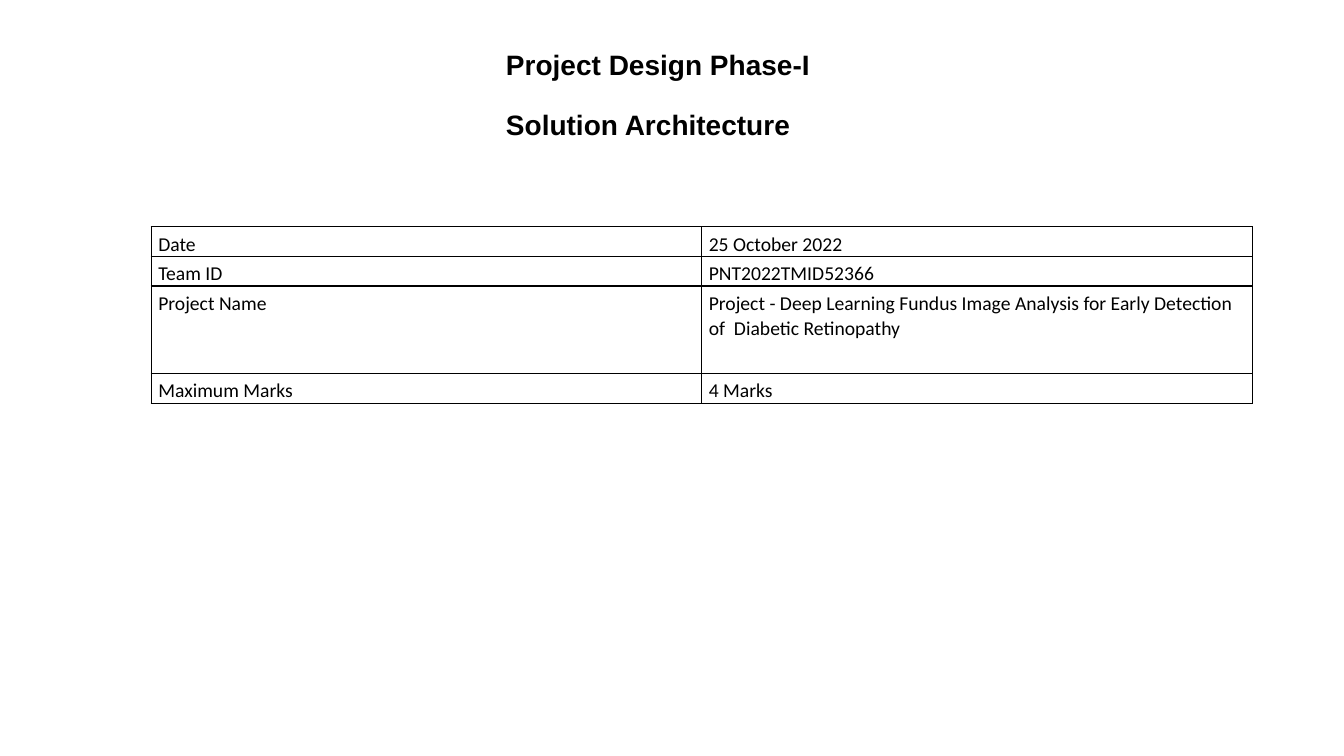
from dataclasses import dataclass
from lxml.etree import SubElement
from pptx import Presentation
from pptx.dml.color import RGBColor
from pptx.enum.text import MSO_ANCHOR
from pptx.oxml.ns import qn
from pptx.util import Inches, Pt


@dataclass
class Theme:
    ink: RGBColor = RGBColor(0, 0, 0)
    paper: RGBColor = RGBColor(255, 255, 255)
    heading_font: str = "Arial"
    heading_size: int = 20
    table_font: str = "Calibri"
    table_size: int = 14
    border: int = 1


theme = Theme()


def style_font(font, name, size, bold=False):
    font.name, font.size, font.bold = name, Pt(size), bold
    font.color.rgb = theme.ink


def add_borders(cell):
    """Draw all four cell borders; they must come before the fill."""
    properties = cell._tc.get_or_add_tcPr()
    for side in ("a:lnL", "a:lnR", "a:lnT", "a:lnB"):
        line = SubElement(properties, qn(side), w=str(Pt(theme.border)))
        fill = SubElement(line, qn("a:solidFill"))
        SubElement(fill, qn("a:srgbClr"), val=str(theme.ink))


deck = Presentation()
deck.slide_width, deck.slide_height = Inches(13.33), Inches(7.5)
page = deck.slides.add_slide(deck.slide_layouts[6])
page.background.fill.solid()
page.background.fill.fore_color.rgb = theme.paper

# Project details
details = [
    ("Date", "25 October 2022", 0.29),
    ("Team ID", "PNT2022TMID52366", 0.29),
    ("Project Name", "Project - Deep Learning Fundus Image Analysis for "
     "Early Detection of  Diabetic Retinopathy", 0.87),
    ("Maximum Marks", "4 Marks", 0.29),
]
table = page.shapes.add_table(len(details), 2, Inches(1.5), Inches(2.25),
                              Inches(10.92), Inches(1.74)).table
table.first_row = table.horz_banding = False
for row, (label, value, height) in zip(table.rows, details):
    row.height = Inches(height)
    for cell, text in zip(row.cells, (label, value)):
        cell.text = text
        cell.margin_left, cell.margin_right = Inches(0.07), Inches(0.08)
        cell.margin_top, cell.margin_bottom = Inches(0.04), 0
        add_borders(cell)
        cell.fill.background()
        para = cell.text_frame.paragraphs[0]
        para.line_spacing = 1.07
        style_font(para.font, theme.table_font, theme.table_size)

# Headings
headings = [("Project Design Phase-I", 0.42, 3.24), ("Solution Architecture", 1.01, 3.53)]
for text, top, width in headings:
    box = page.shapes.add_textbox(Inches(4.92), Inches(top), Inches(width), Inches(0.44))
    frame = box.text_frame
    frame.word_wrap = True
    frame.vertical_anchor = MSO_ANCHOR.MIDDLE
    frame.text = text
    style_font(frame.paragraphs[0].font, theme.heading_font, theme.heading_size, bold=True)

deck.save("out.pptx")
